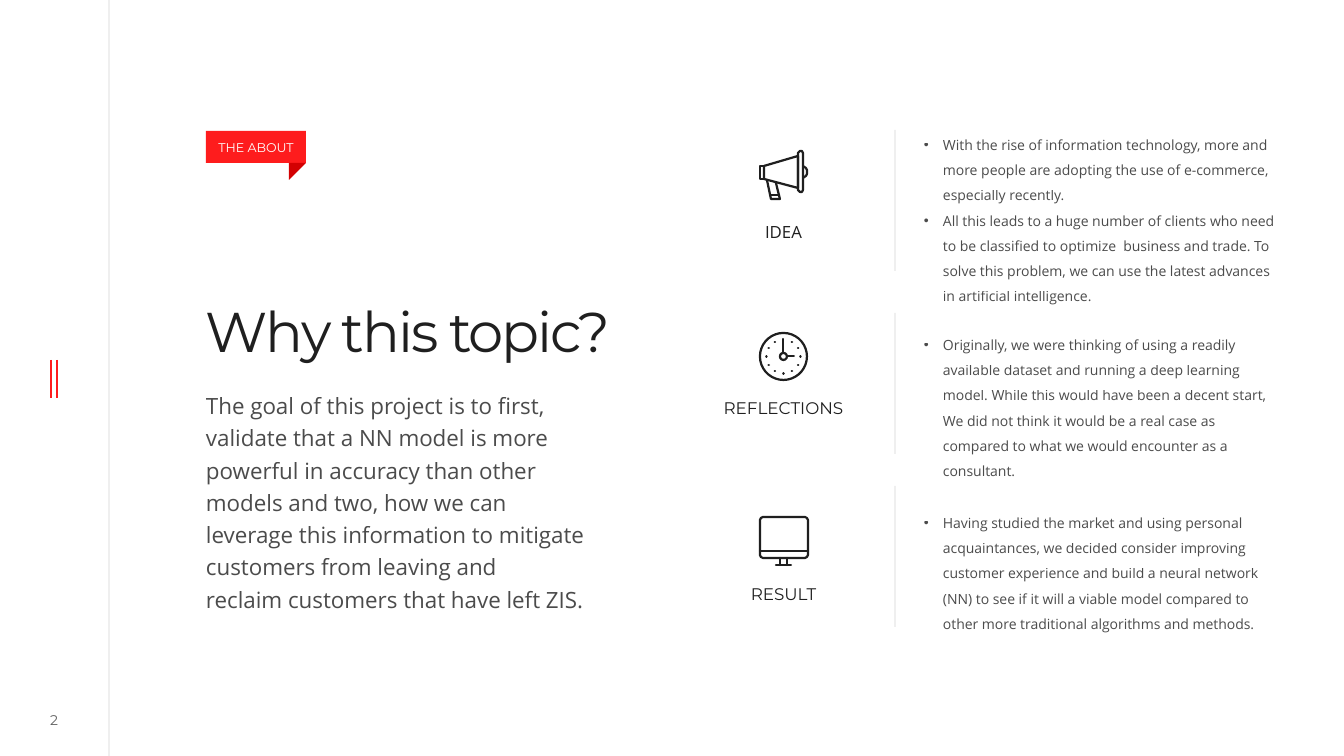
from math import cos, radians, sin

from lxml import etree
from pptx import Presentation
from pptx.dml.color import RGBColor
from pptx.enum.shapes import MSO_CONNECTOR, MSO_SHAPE
from pptx.enum.text import MSO_ANCHOR, PP_ALIGN
from pptx.oxml.ns import qn
from pptx.util import Pt

PX = 914400 / 100.8
STRAIGHT = MSO_CONNECTOR.STRAIGHT
RECT, TRIANGLE = MSO_SHAPE.RECTANGLE, MSO_SHAPE.RIGHT_TRIANGLE
LEFT, CENTER = PP_ALIGN.LEFT, PP_ALIGN.CENTER
TOP, MIDDLE = MSO_ANCHOR.TOP, MSO_ANCHOR.MIDDLE
INK, RED, DARK_RED, WHITE = "1F1F1F", "FE1C1D", "D30102", "FFFFFF"
HEADING, BODY = "Montserrat", "Open Sans"

prs = Presentation()
prs.slide_width = round(1344 * PX)
prs.slide_height = round(756 * PX)
slide = prs.slides.add_slide(prs.slide_layouts[6])
shapes = slide.shapes


def paint(color_format, color, opacity=100):
    color_format.rgb = RGBColor.from_string(color)
    if opacity < 100:
        for srgb in color_format._xFill.iter(qn("a:srgbClr")):
            etree.SubElement(srgb, qn("a:alpha"), val=str(opacity * 1000))


def write(frame, paragraphs, font, size, color=INK, opacity=100, align=LEFT,
          anchor=TOP, spacing=1.0, inset=(5, 5), bullet=False, tracking=0):
    frame.word_wrap = True
    frame.vertical_anchor = anchor
    frame.margin_left = frame.margin_right = 0
    frame.margin_top, frame.margin_bottom = [round(side * PX) for side in inset]
    for index, text in enumerate(paragraphs):
        paragraph = frame.add_paragraph() if index else frame.paragraphs[0]
        paragraph.alignment = align
        paragraph.line_spacing = spacing
        if bullet:
            properties = paragraph._p.get_or_add_pPr()
            properties.set("marL", str(round(19 * PX)))
            properties.set("indent", str(round(-19 * PX)))
            etree.SubElement(properties, qn("a:buFont"), typeface="Arial")
            etree.SubElement(properties, qn("a:buChar"), char="•")
        run = paragraph.add_run()
        run.text = text
        run.font.name = font
        run.font.size = Pt(size)
        run.font.fill.solid()
        paint(run.font.fill.fore_color, color, opacity)
        if tracking:
            run.font._element.set("spc", str(tracking))


rules = [
    (109, 0, 109, 756, INK, 0.5, 20),
    (51, 360, 51, 398, RED, 2, 100),
    (57, 360, 57, 398, RED, 2, 100),
]
rules += [(895, y, 895, y + 141, INK, 0.5, 20) for y in (130, 313, 486)]
for x1, y1, x2, y2, color, width, opacity in rules:
    rule = shapes.add_connector(STRAIGHT, *[round(v * PX) for v in (x1, y1, x2, y2)])
    rule.line.width = Pt(width)
    rule.line.fill.solid()
    paint(rule.line.fill.fore_color, color, opacity)
    etree.SubElement(rule._element.spPr, qn("a:effectLst"))

ribbon = [
    (RECT, 206, 131, 100, 32, RED),
    (TRIANGLE, 289, 163, 17, 17, DARK_RED),
]
for kind, x, y, width, height, color in ribbon:
    part = shapes.add_shape(kind, *[round(v * PX) for v in (x, y, width, height)])
    part.shadow.inherit = False
    part.fill.solid()
    paint(part.fill.fore_color, color)
    part.line.fill.background()
    if kind == RECT:
        write(part.text_frame, ["THE ABOUT"], HEADING, 9, WHITE, align=CENTER,
              anchor=MIDDLE, inset=(7, 5))
    else:
        part._element.spPr.xfrm.set("flipV", "1")

megaphone = [
    [(764, 166), (798, 156), (798, 188), (764, 179), (764, 166)],
    [(764, 166), (760, 166), (760, 179), (764, 179)],
    [(798, 153), (800, 151), (802, 151), (803, 153), (803, 190),
     (802, 192), (800, 192), (798, 190), (798, 153)],
    [(803, 166), (806, 168), (807, 170), (807, 174), (806, 176), (803, 178)],
    [(767, 180), (771, 199), (780, 199), (776, 183)],
    [(770, 195), (779, 195)],
]
monitor = [
    [(763, 517), (805, 517), (807, 518), (808, 520), (808, 555), (807, 557),
     (805, 558), (763, 558), (761, 557), (760, 555), (760, 520), (761, 518), (763, 517)],
    [(760, 551), (808, 551)],
    [(780, 558), (780, 565)],
    [(787, 558), (787, 565)],
    [(776, 565), (791, 565)],
]
clock = [[(783, 339), (783, 353)], [(787, 356), (794, 356)]]
for radius, sides in ((23.5, 36), (3.5, 12)):
    turns = [radians(360 * side / sides) for side in range(sides + 1)]
    clock.append([(783.5 + radius * sin(t), 356.5 - radius * cos(t)) for t in turns])
for hour in range(1, 12):
    x, y = 783.5 + 17 * sin(radians(30 * hour)), 356.5 - 17 * cos(radians(30 * hour))
    clock.append([(x - 0.2, y), (x + 0.2, y)])

for strokes in (clock, monitor, megaphone):
    strokes = [[(x * PX, y * PX) for x, y in stroke] for stroke in strokes]
    builder = shapes.build_freeform(*strokes[0][0])
    for stroke in strokes:
        if stroke is not strokes[0]:
            builder.move_to(*stroke[0])
        builder.add_line_segments(stroke[1:], close=False)
    icon = builder.convert_to_shape()
    icon.shadow.inherit = False
    icon.fill.background()
    icon.line.width = Pt(1.6)
    paint(icon.line.color, INK)
    outline = icon.line._get_or_add_ln()
    outline.set("cap", "rnd")
    etree.SubElement(outline, qn("a:round"))

goal = [
    "The goal of this project is to first, validate that a NN model is more powerful in accuracy than other",
    "models and two, how we can leverage this information to mitigate customers from leaving and",
    "reclaim customers that have left ZIS.",
]
idea = [
    "With the rise of information technology, more and more people are adopting the use of e-commerce, especially recently.",
    "All this leads to a huge number of clients who need to be classified to optimize  business and trade. To solve this problem, we can use the latest advances in artificial intelligence.",
]
reflections = [
    "Originally, we were thinking of using a readily available dataset and running a deep learning model. While this would have been a decent start, We did not think it would be a real case as compared to what we would encounter as a consultant.",
]
result = [
    "Having studied the market and using personal acquaintances, we decided consider improving customer experience and build a neural network (NN) to see if it will a viable model compared to other more traditional algorithms and methods.",
]

label = dict(size=12, align=CENTER, spacing=0.7)
bullets = dict(font=BODY, size=10, opacity=80, spacing=1.5, bullet=True)
texts = [
    (26, 707, 56, 25, ["2"], dict(font=HEADING, size=10, opacity=70, align=CENTER,
                                  anchor=MIDDLE, inset=(0, 0))),
    (206, 288, 466, 178, ["Why this topic?"], dict(font=HEADING, size=40, spacing=0.8,
                                                   inset=(21, 0), tracking=-150)),
    (206, 382, 389, 235, goal, dict(font=BODY, size=16, opacity=80, spacing=1.2)),
    (672, 222, 223, 25, ["IDEA"], dict(font=BODY, **label)),
    (672, 398, 223, 25, ["REFLECTIONS"], dict(font=HEADING, **label)),
    (672, 584, 223, 25, ["RESULT"], dict(font=HEADING, **label)),
    (924, 123, 357, 185, idea, bullets),
    (924, 323, 357, 163, reflections, bullets),
    (924, 501, 357, 134, result, bullets),
]
for x, y, width, height, paragraphs, style in texts:
    box = shapes.add_textbox(*[round(v * PX) for v in (x, y, width, height)])
    write(box.text_frame, paragraphs, **style)

prs.save("out.pptx")
